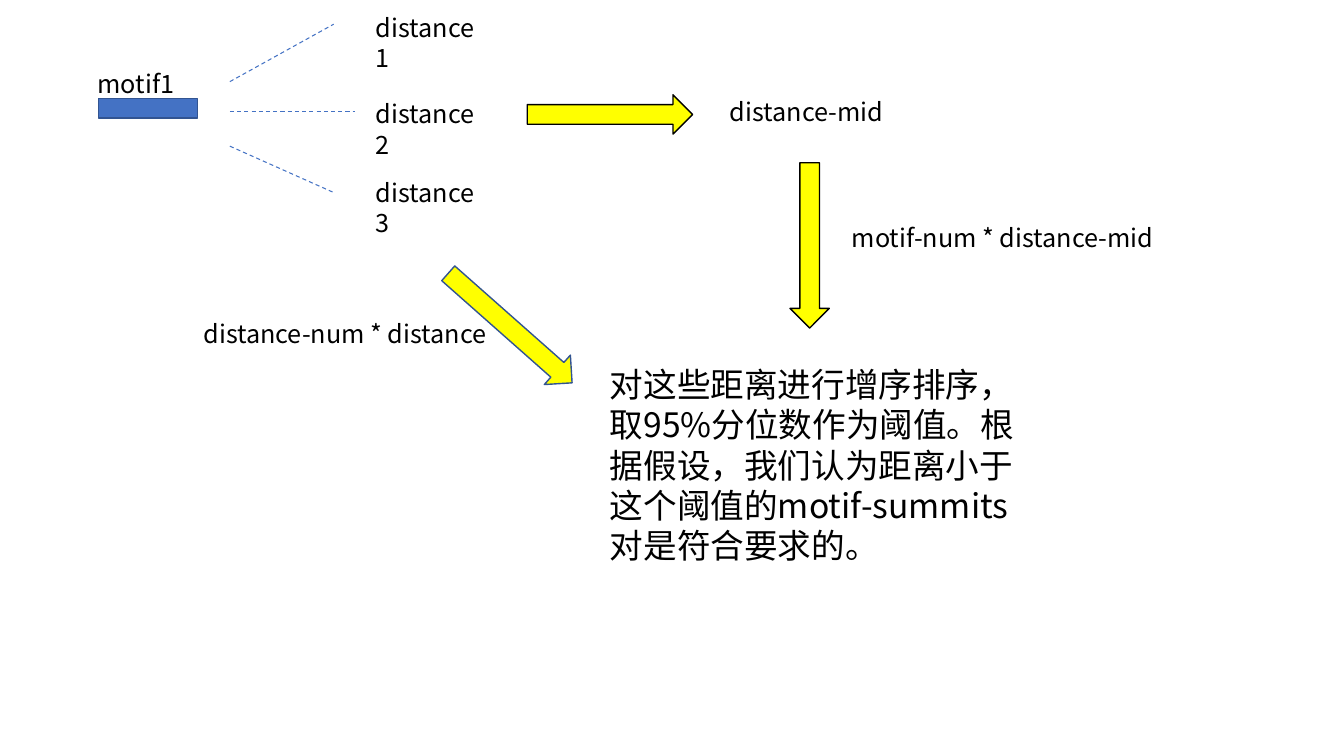
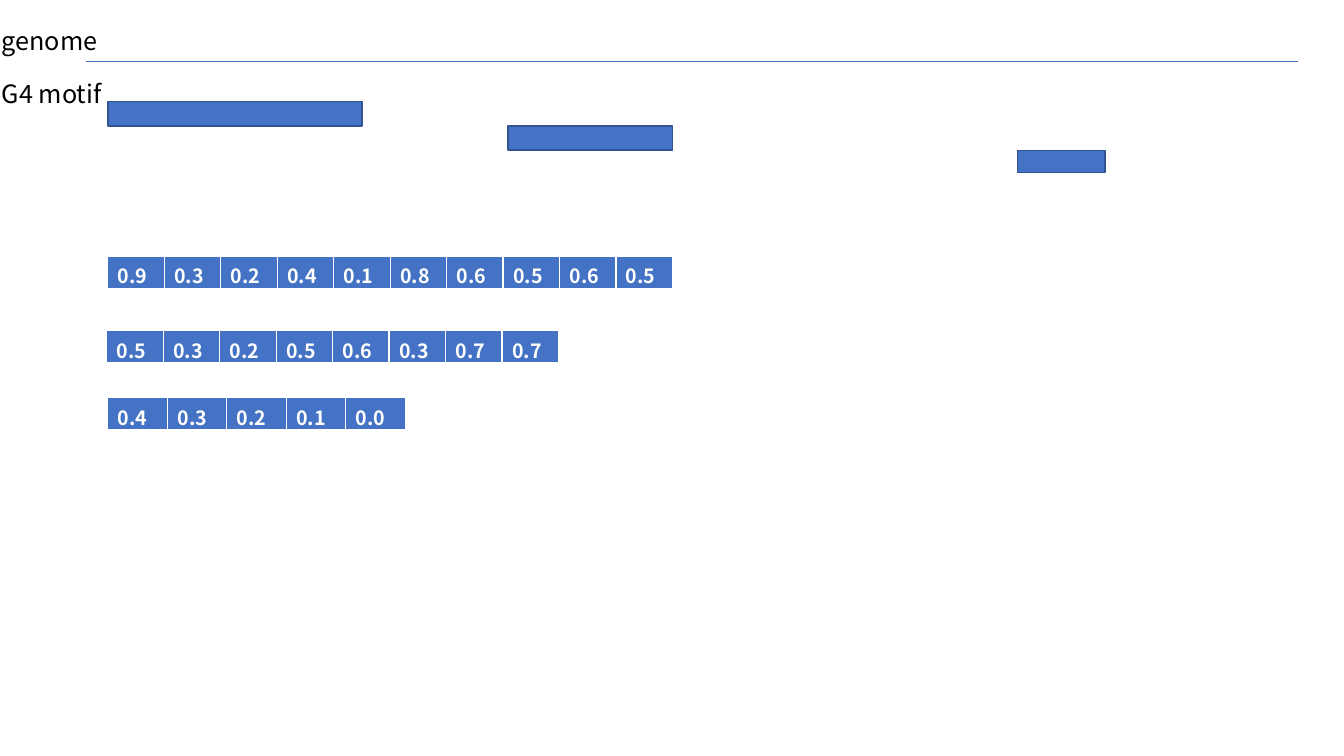
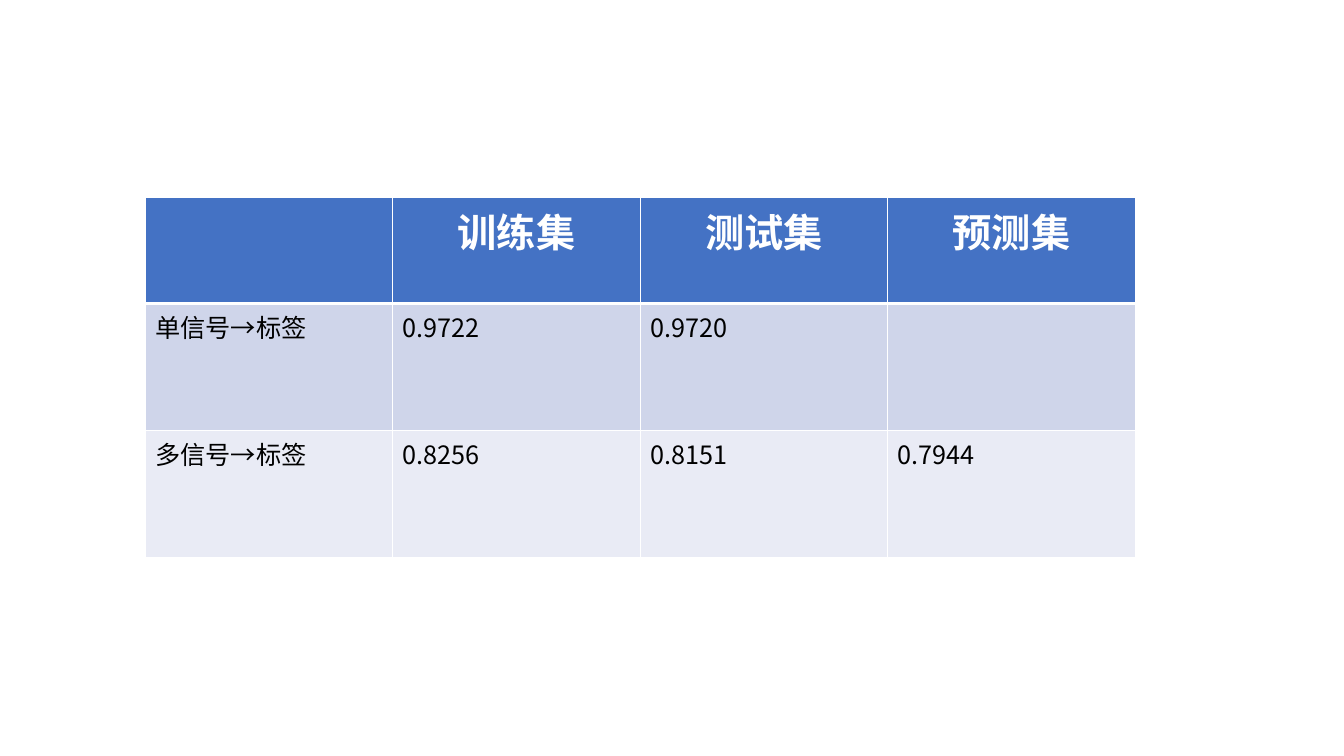
from lxml import etree
from pptx import Presentation
from pptx.dml.color import RGBColor
from pptx.enum.dml import MSO_LINE_DASH_STYLE as DASH
from pptx.enum.shapes import MSO_CONNECTOR, MSO_SHAPE
from pptx.enum.text import MSO_AUTO_SIZE, PP_ALIGN
from pptx.oxml.ns import qn
from pptx.util import Inches, Pt

FONT = "Noto Sans CJK SC"
COLORS = {
    "blue": "4472C4", "edge": "325491", "yellow": "FFFF00", "black": "000000",
    "white": "FFFFFF", "band_dark": "CFD5EA", "band_light": "E9EBF5",
}

DISTANCE_LABELS = [
    ("distance1", 0.07), ("distance2", 0.93), ("distance3", 1.71),
]
DISTANCE_LINES = [
    (2.28, 0.81, 3.31, 0.24), (2.28, 1.11, 3.52, 1.11), (2.28, 1.45, 3.31, 1.91),
]
FLOW_LABELS = [
    ("motif1", 0.87, 0.63, 1.44, 0.4, 18),
    ("distance-mid", 7.14, 0.91, 2.24, 0.4, 18),
    ("motif-num * distance-mid", 8.35, 2.16, 3.43, 0.4, 18),
    ("distance-num * distance", 1.92, 3.11, 3.43, 0.4, 18),
    ("对这些距离进行增序排序，取95%分位数作为阈值。根据假设，我们认为距离小于这个阈值的motif-summits对是符合要求的。",
     5.95, 3.56, 4.45, 2.12, 24),
]
FLOW_ARROWS = [
    (5.23, 0.94, 0, "black"), (4.24, 3.06, 41.5, "edge"), (7.21, 2.24, 90, "black"),
]

TRACK_LABELS = [("genome", 0.2), ("G4 motif", 0.73)]
MOTIF_BARS = [
    (1.07, 1.01, 2.52, 0.24), (5.04, 1.25, 1.63, 0.24), (10.09, 1.49, 0.87, 0.22),
]
SCORE_ROWS = [
    (1.07, 2.54, 0.56, "0.9 0.3 0.2 0.4 0.1 0.8 0.6 0.5 0.6 0.5"),
    (1.06, 3.28, 0.56, "0.5 0.3 0.2 0.5 0.6 0.3 0.7 0.7"),
    (1.07, 3.94, 0.59, "0.4 0.3 0.2 0.1 0.0"),
]

RESULTS = [
    ["", "训练集", "测试集", "预测集"],
    ["单信号→标签", "0.9722", "0.9720", ""],
    ["多信号→标签", "0.8256", "0.8151", "0.7944"],
]


def rgb(name):
    return RGBColor.from_string(COLORS[name])


def write(frame, text, size, color="black", bold=False, align=PP_ALIGN.LEFT):
    para = frame.paragraphs[0]
    para.alignment = align
    span = para.add_run()
    span.text = text
    for name, value in {"name": FONT, "size": Pt(size), "bold": bold}.items():
        setattr(span.font, name, value)
    span.font.color.rgb = rgb(color)
    etree.SubElement(span.font._element, qn("a:ea"), typeface=FONT)


def add_label(page, text, left, top, width, height=0.4, size=18):
    box = page.shapes.add_textbox(*map(Inches, (left, top, width, height)))
    box.text_frame.word_wrap = True
    box.text_frame.auto_size = MSO_AUTO_SIZE.SHAPE_TO_FIT_TEXT
    write(box.text_frame, text, size)


def add_block(page, kind, place, fill="blue", edge="edge", rotation=0):
    block = page.shapes.add_shape(kind, *map(Inches, place))
    block.shadow.inherit = False
    block.rotation = rotation
    block.fill.solid()
    block.fill.fore_color.rgb = rgb(fill)
    block.line.color.rgb = rgb(edge)
    block.line.width = Pt(1)


def add_line(page, ends, width, dash=None):
    line = page.shapes.add_connector(MSO_CONNECTOR.STRAIGHT, *map(Inches, ends))
    line.line.color.rgb = rgb("blue")
    line.line.width = Pt(width)
    line.line.dash_style = dash
    etree.SubElement(line._element.spPr, qn("a:effectLst"))


def set_borders(cell, top, bottom):
    props = cell._tc.get_or_add_tcPr()
    for side, width in {"L": 1, "R": 1, "T": top, "B": bottom}.items():
        border = etree.SubElement(props, qn(f"a:ln{side}"), w=str(Pt(width)))
        fill = etree.SubElement(border, qn("a:solidFill"))
        etree.SubElement(fill, qn("a:srgbClr"), val=COLORS["white"])


def add_grid(page, rows, left, top, column_width, row_heights, header_size, header_align):
    place = (left, top, column_width * len(rows[0]), sum(row_heights))
    table = page.shapes.add_table(len(rows), len(rows[0]), *map(Inches, place)).table
    for column in table.columns:
        column.width = Inches(column_width)
    for r, (values, height) in enumerate(zip(rows, row_heights)):
        table.rows[r].height = Inches(height)
        fill = "blue" if r == 0 else ("band_light", "band_dark")[r % 2]
        for c, value in enumerate(values):
            cell = table.cell(r, c)
            set_borders(cell, 3 if r == 1 else 1, 3 if r == 0 else 1)
            cell.fill.solid()
            cell.fill.fore_color.rgb = rgb(fill)
            if not value:
                continue
            if r == 0:
                write(cell.text_frame, value, header_size, "white", True, header_align)
            else:
                write(cell.text_frame, value, 18)


def build_flow(page):
    add_block(page, MSO_SHAPE.RECTANGLE, (0.98, 0.98, 0.98, 0.19))
    for ends in DISTANCE_LINES:
        add_line(page, ends, 0.75, DASH.DASH)
    for text, top in DISTANCE_LABELS:
        add_label(page, text, 3.63, top, 1.28)
    for left, top, rotation, edge in FLOW_ARROWS:
        add_block(page, MSO_SHAPE.RIGHT_ARROW, (left, top, 1.64, 0.39), "yellow", edge, rotation)
    for label in FLOW_LABELS:
        add_label(page, *label)


def build_tracks(page):
    for bar in MOTIF_BARS:
        add_block(page, MSO_SHAPE.RECTANGLE, bar)
    add_line(page, (0.85, 0.61, 12.87, 0.61), 0.5)
    for text, top in TRACK_LABELS:
        add_label(page, text, -0.08, top, 1.87)
    for left, top, width, scores in SCORE_ROWS:
        add_grid(page, [scores.split()], left, top, width, [0.33], 14, PP_ALIGN.LEFT)


def build_results(page):
    add_grid(page, RESULTS, 1.44, 1.96, 2.455, [1.05, 1.26, 1.26], 28, PP_ALIGN.CENTER)


def main():
    deck = Presentation()
    deck.slide_width, deck.slide_height = Inches(13.33), Inches(7.5)
    for build in (build_flow, build_tracks, build_results):
        build(deck.slides.add_slide(deck.slide_layouts[6]))
    deck.save("out.pptx")


if __name__ == "__main__":
    main()
